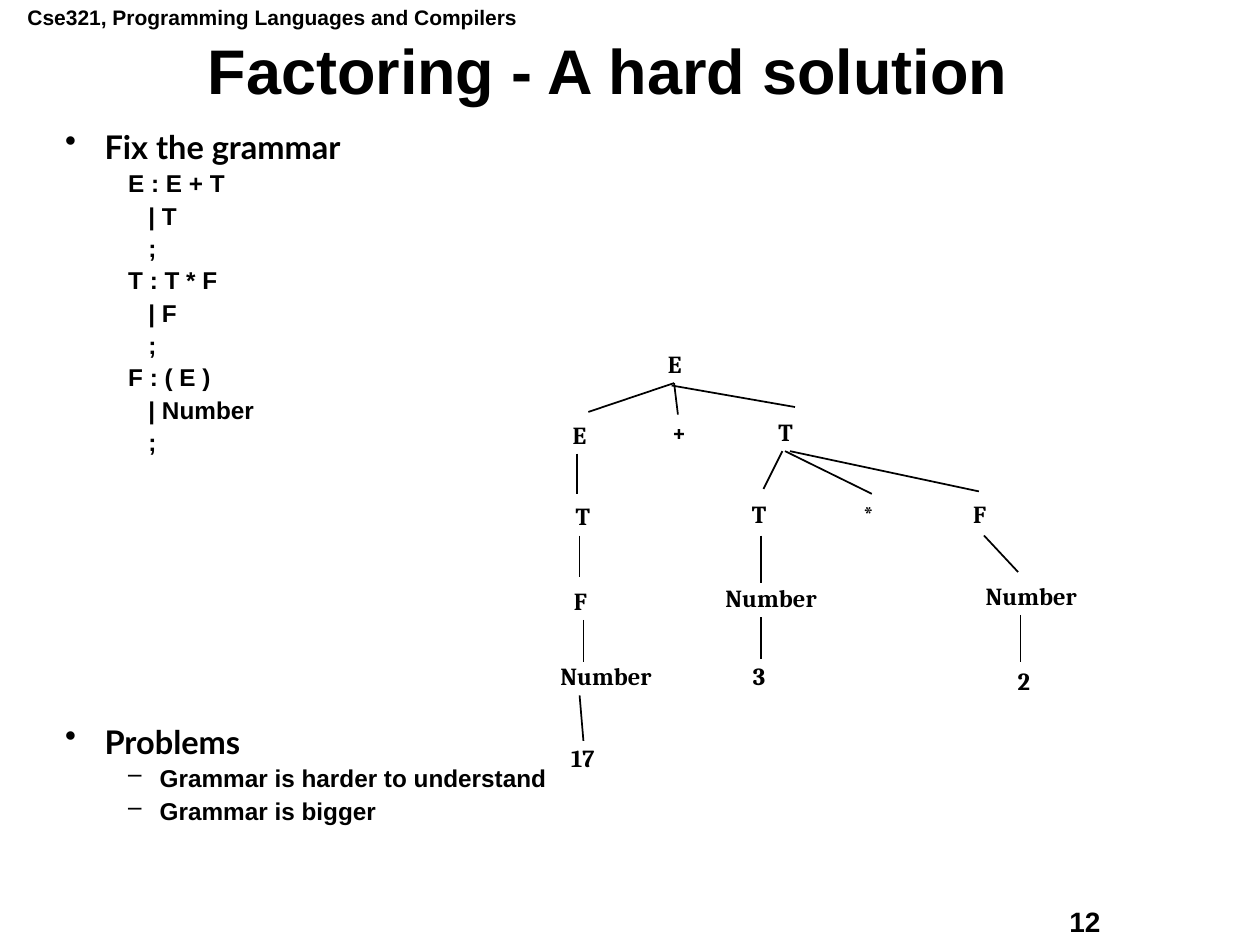
from collections import namedtuple
from dataclasses import dataclass

from lxml.etree import SubElement
from pptx import Presentation
from pptx.dml.color import RGBColor
from pptx.enum.shapes import MSO_CONNECTOR
from pptx.enum.text import MSO_ANCHOR, MSO_AUTO_SIZE, PP_ALIGN
from pptx.oxml.ns import qn
from pptx.util import Pt

Box = namedtuple("Box", "left top width height")
Node = namedtuple("Node", "symbol center top width branch", defaults=[None])


@dataclass(frozen=True)
class Theme:
    ink: RGBColor = RGBColor(0, 0, 0)
    sans: str = "Arial"
    heading: str = "Lato"
    serif: str = "Cambria"
    title_size: float = 36
    heading_size: float = 18.6
    detail_size: float = 13.9
    node_size: float = 14
    course_size: float = 12
    number_size: float = 16
    line_width: float = 1


THEME = Theme()

TOPIC = {"size": THEME.heading_size, "name": THEME.heading, "before": 9,
         "margin": 22.5, "hang": -22.5, "bullet": "•"}
RULE = {"size": THEME.detail_size, "name": THEME.sans, "before": 6.8,
        "margin": 54, "hang": -18, "bullet": None}
POINT = {**RULE, "bullet": "–"}

GRAMMAR = ["E : E + T", "   | T", "   ;",
           "T : T * F", "   | F", "   ;",
           "F : ( E )", "   | Number", "   ;"]
PROBLEMS = ["Grammar is harder to understand", "Grammar is bigger"]
PROBLEMS_GAP = 158

# Centre, top and branch ends (x1, y1, x2, y2) are relative to the tree's box.
PARSE_TREE = [
    Node("E", 93.6, 0, 54),
    Node("E", 39.2, 40.2, 47.5, (93.2, 22.9, 44.2, 39.4)),
    Node("+", 96.1, 38.7, 40.3, (93.2, 22.9, 95.4, 40.9)),
    Node("T", 156.9, 38.7, 51, (91.8, 24.3, 162.3, 36.6)),
    Node("T", 41, 87, 51, (37.8, 63.2, 37.8, 86.2)),
    Node("F", 39.6, 135.2, 51, (39.2, 110, 39.2, 133.8)),
    Node("Number", 54.3, 178.4, 108, (41.4, 158.2, 41.4, 182)),
    Node("17", 41, 225.2, 51, (39.2, 201.4, 41.4, 227.4)),
    Node("T", 141.8, 85.5, 51, (155.1, 61.8, 144.3, 83.4)),
    Node("*", 204.4, 85.5, 51, (156.6, 61.8, 206.2, 86.2)),
    Node("F", 267.8, 85.5, 51, (159.4, 61.8, 267.4, 84.8)),
    Node("Number", 148.6, 133.8, 95, (142.9, 110, 142.9, 137.4)),
    Node("3", 141.8, 178.4, 51, (142.9, 156.8, 142.9, 180.6)),
    Node("Number", 297.3, 132.3, 101.5, (270.3, 110, 289.8, 130.9)),
    Node("2", 293, 181.3, 51, (291.2, 155.4, 291.2, 182)),
]
NODE_HEIGHT = 23.8


def apply(target, **values):
    for name, value in values.items():
        setattr(target, name, value)


def style_font(paragraph, size, name):
    apply(paragraph.font, size=Pt(size), name=name, bold=True)
    paragraph.font.color.rgb = THEME.ink


def place(shape, box):
    apply(shape, **{side: Pt(length) for side, length in box._asdict().items()})


def add_label(slide, box, text, size, name, wrap=True, align=PP_ALIGN.LEFT):
    label = slide.shapes.add_textbox(*map(Pt, box))
    label.text_frame.word_wrap = wrap
    paragraph = label.text_frame.paragraphs[0]
    apply(paragraph, text=text, alignment=align)
    style_font(paragraph, size, name)


def add_title(slide, box, text):
    title = slide.shapes.title
    place(title, box)
    apply(title.text_frame, text=text, word_wrap=True,
          auto_size=MSO_AUTO_SIZE.NONE, vertical_anchor=MSO_ANCHOR.MIDDLE)
    paragraph = title.text_frame.paragraphs[0]
    apply(paragraph, alignment=PP_ALIGN.CENTER, line_spacing=0.9)
    style_font(paragraph, THEME.title_size, THEME.sans)


def format_outline(paragraph, level):
    """Set the indent, bullet, spacing and font of one outline level."""
    apply(paragraph, line_spacing=0.7, space_before=Pt(level["before"]))
    properties = paragraph._p.get_or_add_pPr()
    properties.set("marL", str(Pt(level["margin"])))
    properties.set("indent", str(Pt(level["hang"])))
    if level["bullet"]:
        color = SubElement(properties, qn("a:buClr"))
        SubElement(color, qn("a:srgbClr"), val=str(THEME.ink))
        SubElement(properties, qn("a:buChar"), char=level["bullet"])
    style_font(paragraph, level["size"], level["name"])


def add_outline(slide, box):
    frame = slide.shapes.add_textbox(*map(Pt, box)).text_frame
    frame.word_wrap = True
    outline = [("Fix the grammar", {**TOPIC, "before": 0}),
               *((line, RULE) for line in GRAMMAR),
               ("Problems", {**TOPIC, "before": PROBLEMS_GAP}),
               *((problem, POINT) for problem in PROBLEMS)]
    for index, (text, level) in enumerate(outline):
        paragraph = frame.add_paragraph() if index else frame.paragraphs[0]
        paragraph.text = text
        format_outline(paragraph, level)


def add_branch(slide, box, ends):
    x1, y1, x2, y2 = ends
    branch = slide.shapes.add_connector(
        MSO_CONNECTOR.STRAIGHT, Pt(box.left + x1), Pt(box.top + y1),
        Pt(box.left + x2), Pt(box.top + y2))
    branch.line.width = Pt(THEME.line_width)
    branch.line.color.rgb = THEME.ink
    SubElement(branch._element.spPr, qn("a:effectLst"))


def add_parse_tree(slide, box):
    for node in PARSE_TREE:
        node_box = Box(box.left + node.center - node.width / 2,
                       box.top + node.top, node.width, NODE_HEIGHT)
        add_label(slide, node_box, node.symbol, THEME.node_size, THEME.serif,
                  align=PP_ALIGN.CENTER)
        if node.branch:
            add_branch(slide, box, node.branch)


def main():
    deck = Presentation()
    apply(deck, slide_width=Pt(720), slide_height=Pt(540))
    slide = deck.slides.add_slide(deck.slide_layouts[5])
    add_label(slide, Box(8.6, -0.7, 294.5, 21.6),
              "Cse321, Programming Languages and Compilers",
              THEME.course_size, THEME.sans, wrap=False)
    add_label(slide, Box(604, 513.4, 91.4, 26), "12",
              THEME.number_size, THEME.sans, wrap=False)
    add_title(slide, Box(22.3, 22.3, 650, 40.3), "Factoring - A hard solution")
    add_outline(slide, Box(30.2, 74.9, 642.2, 429))
    add_parse_tree(slide, Box(292, 196, 348, 249))
    deck.save("out.pptx")


if __name__ == "__main__":
    main()
